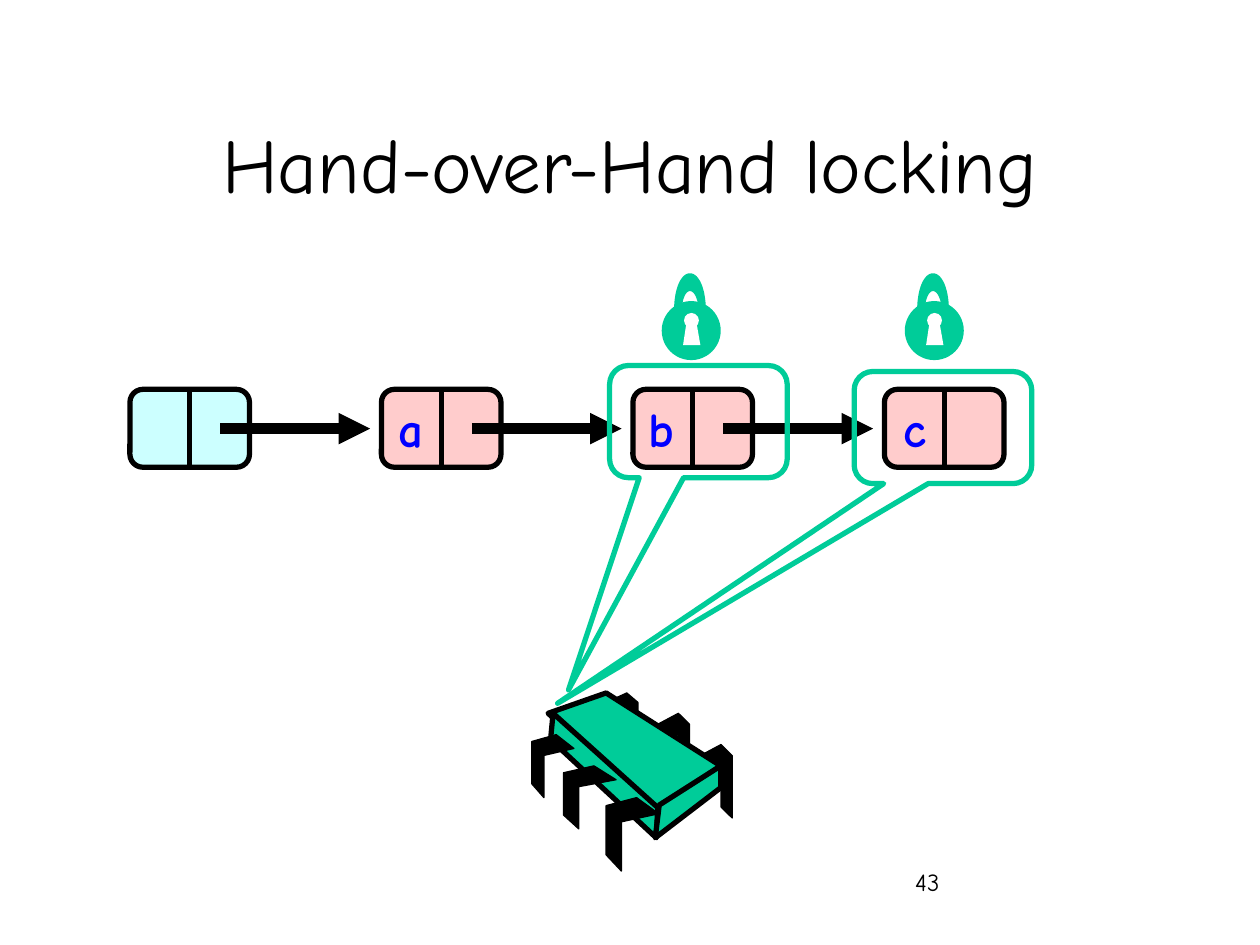
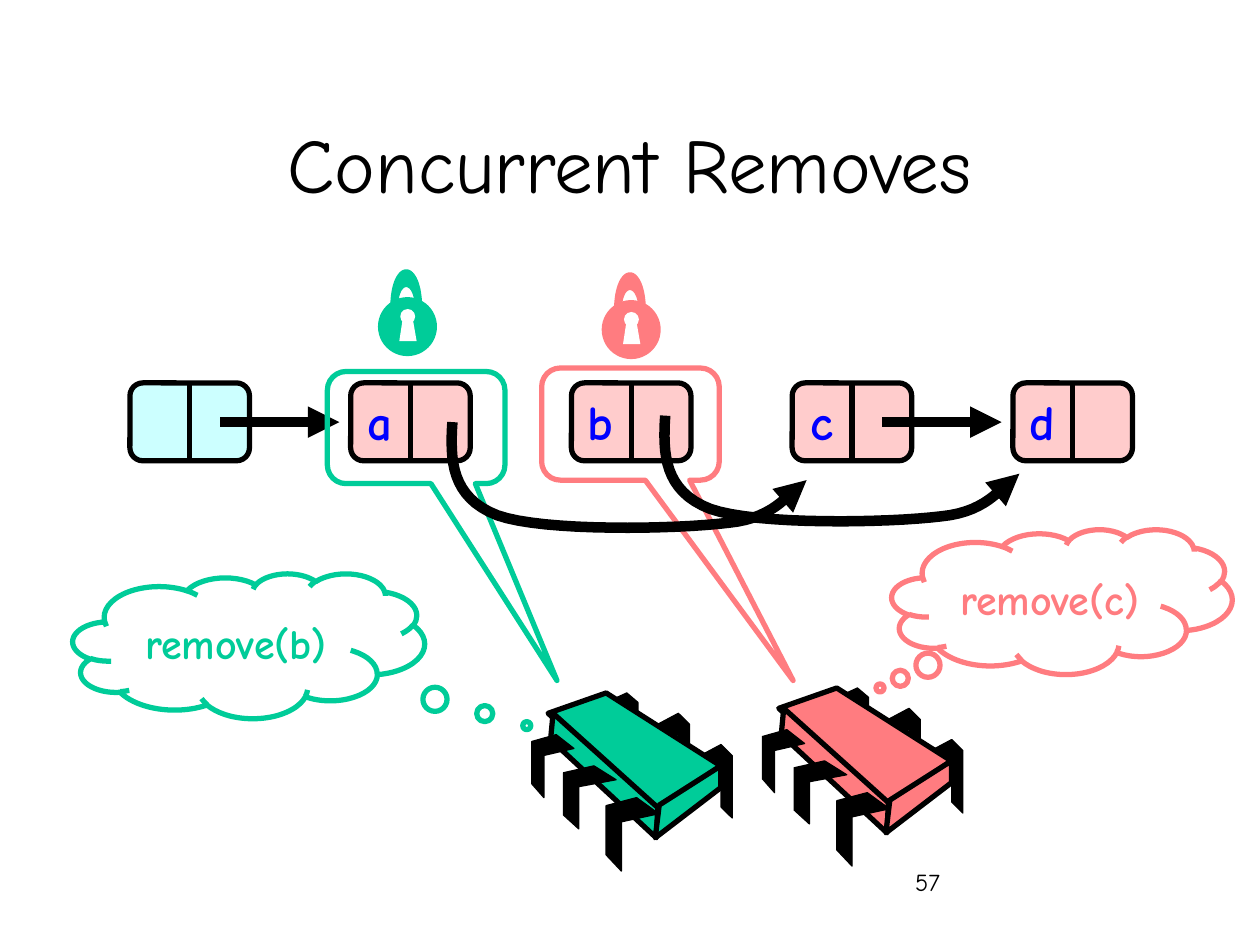
from lxml.etree import SubElement
from pptx import Presentation
from pptx.dml.color import RGBColor
from pptx.enum.shapes import MSO_CONNECTOR as Connector, MSO_SHAPE as Preset
from pptx.enum.text import MSO_ANCHOR as Anchor, PP_ALIGN as Align
from pptx.oxml.ns import qn
from pptx.util import Cm, Pt

FONT = "Comic Neue"
COLORS = {
    "ink": "000000",
    "paper": "FFFFFF",
    "label": "0000FF",
    "head": "CCFFFF",
    "node": "FFCCCC",
    "green": "00CC99",
    "pink": "FF7C80",
}

# All lengths are in centimetres.
NODE_LEFT, NODE_WIDTH, NODE_HEIGHT = 2.62, 2.41, 1.57
CALLOUT_SIZE = (3.58, 2.26)

# Pin outlines are fractions of their frames: left, top, width, height.
BACK_PIN = [(0, 0.15), (0.65, 0), (1, 0.15), (1, 1), (0.65, 0.85), (0.65, 0.28), (0, 0.43)]
BACK_FRAMES = [(3.4, 1.04, 0.64, 1.48), (2.54, 0.41, 0.64, 1.48), (1.5, 0, 0.64, 1.27)]
FRONT_PIN = [(0.58, 0), (1, 0.22), (0.29, 0.33), (0.29, 1), (0, 0.78), (0, 0.11)]
FRONT_FRAMES = [(1.5, 2.11, 1.06, 1.48), (0.64, 1.47, 1.06, 1.27), (0, 0.84, 0.85, 1.27)]
CHIP_FACES = [
    [(1.5, 0), (3.81, 1.47), (2.51, 2.36), (0.33, 0.41)],
    [(0.43, 0.41), (2.54, 2.31), (2.51, 2.92), (0.38, 0.94)],
    [(3.81, 1.47), (3.81, 1.91), (2.49, 2.92), (2.57, 2.26)],
]


def curve(start, *pieces, steps=16):
    """Points along joined cubic curves; each piece is two controls and an end."""
    points = [start]
    for first, second, end in pieces:
        begin = points[-1]
        for step in range(1, steps + 1):
            t = step / steps
            weights = ((1 - t) ** 3, 3 * t * (1 - t) ** 2, 3 * t * t * (1 - t), t ** 3)
            corners = (begin, first, second, end)
            points.append(tuple(sum(w * c[axis] for w, c in zip(weights, corners))
                                for axis in (0, 1)))
    return points


KEYHOLE_SLOT = [(0.43, 0.89), (0.5, 0.43), (0.7, 0.43), (0.78, 0.89)]
SHACKLE = (
    curve((0.41, 0.18), ((0.41, -0.03), (0.48, -0.2), (0.57, -0.2)),
          ((0.66, -0.2), (0.74, -0.03), (0.74, 0.18)))
    + curve((0.89, 0.18), ((0.89, -0.23), (0.76, -0.56), (0.57, -0.56)),
            ((0.38, -0.56), (0.25, -0.23), (0.25, 0.18)))
)
BYPASS = curve((0, 0), ((-0.05, 0.76), (-0.03, 1.52), (0.91, 1.88)),
               ((1.83, 2.21), (4.52, 2.16), (5.56, 2.03)),
               ((6.58, 1.93), (6.81, 1.35), (7.14, 1.17)))


def rgb(name):
    return RGBColor.from_string(COLORS[name])


class SlideBuilder:
    def __init__(self, deck):
        self.deck = deck
        self.page = None

    def start(self, title, number):
        self.page = self.deck.slides.add_slide(self.deck.slide_layouts[6])
        self.text(title, (1.9, 1.7, 21.6, 3.18), 44, align=Align.CENTER, anchor=Anchor.MIDDLE)
        self.text(str(number), (18.2, 17.35, 5.3, 1.27), 14)

    def text(self, words, frame, size, color="ink", bold=False,
             align=Align.LEFT, anchor=Anchor.TOP, wrap=True):
        box = self.page.shapes.add_textbox(*map(Cm, frame))
        self.letter(box, words, size, color, bold, align, anchor, wrap)

    def letter(self, box, words, size, color, bold, align, anchor, wrap=True):
        """Put styled words into a box."""
        box.text_frame.text = words
        box.text_frame.word_wrap = wrap
        box.text_frame.vertical_anchor = anchor
        para = box.text_frame.paragraphs[0]
        para.alignment = align
        for span in para.runs:
            span.font.name = FONT
            span.font.size = Pt(size)
            span.font.bold = bold
            span.font.color.rgb = rgb(color)

    def stroke(self, line, color, width, arrow=False):
        line.color.rgb = rgb(color)
        line.width = Pt(width)
        if arrow:
            SubElement(line._get_or_add_ln(), qn("a:tailEnd"), type="triangle")

    def paint(self, shape, fill=None, outline=None, width=3, arrow=False):
        shape.shadow.inherit = False
        if fill:
            shape.fill.solid()
            shape.fill.fore_color.rgb = rgb(fill)
        else:
            shape.fill.background()
        if outline:
            self.stroke(shape.line, outline, width, arrow)
        else:
            shape.line.fill.background()
        return shape

    def shape(self, preset, frame, **look):
        return self.paint(self.page.shapes.add_shape(preset, *map(Cm, frame)), **look)

    def outline(self, points, origin, close=True, **look):
        spots = [(Cm(origin[0] + x), Cm(origin[1] + y)) for x, y in points]
        builder = self.page.shapes.build_freeform(*spots[0])
        builder.add_line_segments(spots[1:], close=close)
        return self.paint(builder.convert_to_shape(), **look)

    def line(self, start, end, width, arrow=False):
        connector = self.page.shapes.add_connector(
            Connector.STRAIGHT, *map(Cm, (*start, *end)))
        self.stroke(connector.line, "ink", width, arrow)
        SubElement(connector._element.spPr, qn("a:effectLst"))
        return connector

    def node(self, left, top, label):
        box = self.shape(Preset.ROUNDED_RECTANGLE, (left, top, NODE_WIDTH, NODE_HEIGHT),
                         fill="node" if label else "head", outline="ink")
        middle = left + NODE_WIDTH / 2
        divider = self.line((middle, top), (middle, top + NODE_HEIGHT), 3)
        divider.begin_connect(box, 0)
        divider.end_connect(box, 2)
        if label:
            self.text(label, (left + 0.03, top + 0.05, 1.06, 1.45), 28, "label",
                      bold=True, align=Align.RIGHT, wrap=False)

    def linked_list(self, labels, top, pitch, linked):
        """Draw evenly spaced nodes, with an arrow to the next from each index in linked."""
        lefts = [NODE_LEFT + pitch * index for index in range(len(labels))]
        for left, label in zip(lefts, labels):
            self.node(left, top, label)
        for index in linked:
            self.line((lefts[index] + 1.82, top + 0.79),
                      (lefts[index + 1] - 0.23, top + 0.79), 6, arrow=True)

    def lock(self, left, top, color):
        self.shape(Preset.OVAL, (left, top, 1.19, 1.19), fill=color)
        self.shape(Preset.OVAL, (left + 0.45, top + 0.24, 0.3, 0.3), fill="paper")
        self.outline(KEYHOLE_SLOT, (left, top), fill="paper")
        self.outline(SHACKLE, (left, top), fill=color)

    def pins(self, unit, frames, origin):
        for left, top, width, height in frames:
            points = [(left + x * width, top + y * height) for x, y in unit]
            self.outline(points, origin, fill="ink", outline="ink", width=0.75)

    def chip(self, origin, color):
        self.pins(BACK_PIN, BACK_FRAMES, origin)
        for face in CHIP_FACES:
            self.outline(face, origin, fill=color, outline="ink")
        self.pins(FRONT_PIN, FRONT_FRAMES, origin)

    def balloon(self, preset, frame, tip, color):
        """Draw an unfilled callout whose tail ends at tip."""
        left, top, width, height = frame
        box = self.shape(preset, frame, outline=color)
        box.adjustments[0] = (tip[0] - left) / width - 0.5
        box.adjustments[1] = (tip[1] - top) / height - 0.5
        return box

    def holder(self, corner, tip, color):
        self.balloon(Preset.ROUNDED_RECTANGULAR_CALLOUT, (*corner, *CALLOUT_SIZE), tip, color)

    def thought(self, words, frame, tip, color):
        cloud = self.balloon(Preset.CLOUD_CALLOUT, frame, tip, color)
        self.letter(cloud, words, 24, color, True, Align.CENTER, Anchor.MIDDLE)

    def bypass(self, *start):
        self.outline(BYPASS, start, close=False, outline="ink", width=6, arrow=True)


def hand_over_hand(builder):
    builder.start("Hand-over-Hand locking", 43)
    builder.linked_list(["", "a", "b", "c"], 7.85, 5.07, linked=(0, 1, 2))
    builder.chip((10.72, 13.97), "green")
    for left in (13.34, 18.24):
        builder.lock(left, 6.07, "green")
    builder.holder((17.22, 7.49), (11.24, 14.18), "green")
    builder.holder((12.29, 7.37), (11.46, 13.91), "green")


def concurrent_removes(builder):
    builder.start("Concurrent Removes", 57)
    builder.linked_list(["", "a", "b", "c", "d"], 7.72, 4.45, linked=(0, 3))
    builder.chip((10.72, 13.97), "green")
    builder.chip((15.37, 13.87), "pink")
    builder.holder((10.92, 7.42), (15.99, 13.72), "pink")
    builder.thought("remove(b)", (1.47, 11.56, 7.09, 2.92), (10.62, 14.63), "green")
    builder.thought("remove(c)", (17.98, 10.67, 6.86, 2.92), (17.74, 13.87), "pink")
    builder.lock(7.62, 5.99, "green")
    builder.holder((6.6, 7.49), (11.23, 13.72), "green")
    builder.lock(12.13, 6.05, "pink")
    builder.bypass(9.12, 8.51)
    builder.bypass(13.41, 8.38)


def main():
    deck = Presentation()
    deck.slide_width, deck.slide_height = Cm(25.4), Cm(19.05)
    builder = SlideBuilder(deck)
    hand_over_hand(builder)
    concurrent_removes(builder)
    deck.save("out.pptx")


if __name__ == "__main__":
    main()
